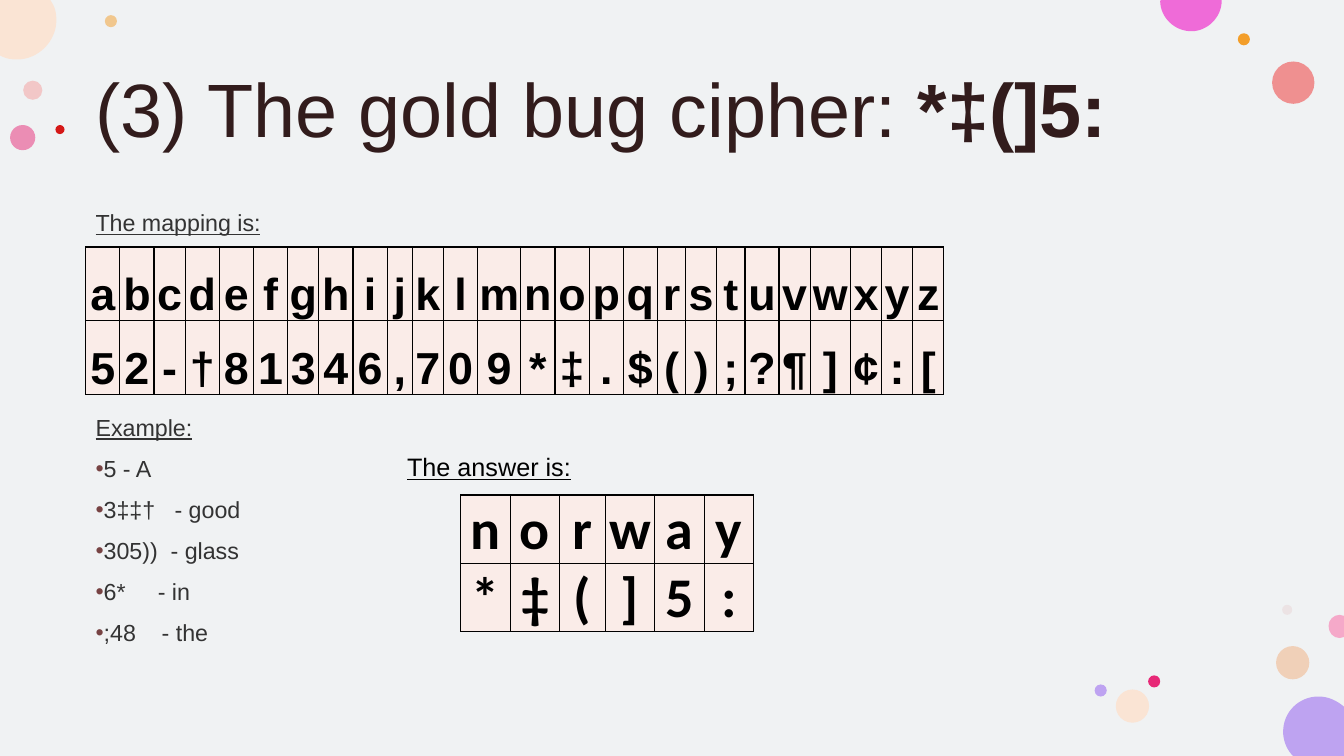
"""Builds the gold bug cipher slide with its mapping table and worked answer."""
import pptx
import pptx.dml.color
import pptx.enum.shapes
import pptx.enum.text
import pptx.oxml.ns
import pptx.util
from lxml import etree

Inches = pptx.util.Inches
Pt = pptx.util.Pt
RGBColor = pptx.dml.color.RGBColor
MSO_SHAPE = pptx.enum.shapes.MSO_SHAPE
qn = pptx.oxml.ns.qn

PAPER = RGBColor(0xF0, 0xF2, 0xF3)
BROWN = RGBColor(0x32, 0x1C, 0x1C)
GREY = RGBColor(0x33, 0x33, 0x33)
BLACK = RGBColor(0, 0, 0)
BLUSH = RGBColor(0xFA, 0xEC, 0xE8)
CORAL = RGBColor(0xF4, 0x9D, 0x9C)
ORANGE = RGBColor(0xF3, 0x9E, 0x29)
APRICOT = RGBColor(0xF1, 0xAF, 0x7F)
CERISE = RGBColor(0xE7, 0x29, 0x77)
SALMON = RGBColor(0xEF, 0x6B, 0x6B)
DUST = RGBColor(0xE3, 0xBE, 0xBE)
PEACH = RGBColor(0xFA, 0xE4, 0xD4)
LILAC = RGBColor(0xBE, 0xA3, 0xF1)
ORCHID = RGBColor(0xEF, 0x6B, 0xD8)
RED = RGBColor(0xD5, 0x18, 0x17)
ROSE = RGBColor(0xF5, 0xA9, 0xC9)

WIDTH, HEIGHT = 40 / 3, 7.5
LEFT, COLUMN = 0.85, 11.66


def add_text(left, top, width, height, lines):
    """Adds a wrapping text box with one paragraph per line."""
    box = page.shapes.add_textbox(Inches(left), Inches(top), Inches(width), Inches(height))
    box.text_frame.word_wrap = True
    box.text_frame.text = "\n".join(lines)
    return box.text_frame


def add_cipher_table(left, top, width, shares, row_height, rows, font, size):
    """Adds a bordered table holding one letter or symbol per cell."""
    frame = page.shapes.add_table(len(rows), len(shares), Inches(left), Inches(top),
                                  Inches(width), Inches(row_height * len(rows)))
    table = frame.table
    table.first_row = table.horz_banding = False
    for column, share in zip(table.columns, shares):
        column.width = Inches(width * share / sum(shares))
    for row, symbols in zip(table.rows, rows):
        row.height = Inches(row_height)
        for cell, symbol in zip(row.cells, symbols):
            cell.text = symbol
            cell.margin_left = cell.margin_right = cell.margin_top = Inches(0.01)
            cell.margin_bottom = 0
            cell.vertical_anchor = pptx.enum.text.MSO_ANCHOR.BOTTOM
            cell.fill.solid()
            cell.fill.fore_color.rgb = BLUSH
            para = cell.text_frame.paragraphs[0]
            para.alignment = pptx.enum.text.PP_ALIGN.CENTER
            span = para.runs[0]
            span.font.name, span.font.size, span.font.bold = font, Pt(size), True
            span.font.color.rgb = BLACK
            properties = cell._tc.get_or_add_tcPr()
            for position, side in enumerate(("a:lnL", "a:lnR", "a:lnT", "a:lnB")):
                border = etree.Element(qn(side), w=str(Pt(1)))
                paint = etree.SubElement(border, qn("a:solidFill"))
                etree.SubElement(paint, qn("a:srgbClr"), val=str(BLACK))
                properties.insert(position, border)


deck = pptx.Presentation()
deck.slide_width, deck.slide_height = Inches(WIDTH), Inches(HEIGHT)
page = deck.slides.add_slide(deck.slide_layouts[6])

backdrop = page.shapes.add_shape(MSO_SHAPE.RECTANGLE, 0, 0, deck.slide_width, deck.slide_height)
decorations = [(backdrop, PAPER, 100)]

bubbles = [
    (0.23, 0.8, 0.19, CORAL, 50), (1.04, 0.15, 0.12, ORANGE, 50),
    (12.66, 6.41, 0.33, APRICOT, 50), (0.1, 1.24, 0.25, CERISE, 50),
    (12.62, 0.61, 0.42, SALMON, 72), (12.28, 0.33, 0.12, ORANGE, 100),
    (12.72, 6, 0.1, DUST, 28), (11.39, 6.7, 0.12, CERISE, 100),
    (11.07, 6.84, 0.33, PEACH, 100), (10.86, 6.79, 0.12, LILAC, 100),
    (0.55, 1.24, 0.09, RED, 100),
]
for left, top, diameter, colour, opacity in bubbles:
    bubble = page.shapes.add_shape(MSO_SHAPE.OVAL, Inches(left), Inches(top),
                                   Inches(diameter), Inches(diameter))
    decorations.append((bubble, colour, opacity))

cut_bubbles = [
    (LILAC, (13.08, 6.91), [
        [(13.18, 6.91), (13.26, 6.95), (WIDTH, 7.01)], [(WIDTH, HEIGHT)], [(12.83, HEIGHT)],
        [(12.81, 7.48)], [(12.76, 7.42), (12.73, 7.34), (12.73, 7.26)],
        [(12.73, 7.06), (12.89, 6.91), (13.08, 6.91)]]),
    (PEACH, (0, 0), [
        [(0.5, 0)], [(0.53, 0.05)], [(0.55, 0.09), (0.56, 0.14), (0.56, 0.2)],
        [(0.56, 0.41), (0.38, 0.59), (0.17, 0.59)],
        [(0.11, 0.59), (0.06, 0.58), (0.02, 0.56)], [(0, 0.55)]]),
    (ORCHID, (11.52, 0), [
        [(12.12, 0)], [(12.12, 0.01)], [(12.12, 0.17), (11.98, 0.31), (11.82, 0.31)],
        [(11.65, 0.31), (11.51, 0.17), (11.51, 0.01)]]),
    (ROSE, (13.29, 6.1), [
        [(WIDTH, 6.11)], [(WIDTH, 6.32)], [(13.29, 6.33)],
        [(13.23, 6.33), (13.18, 6.28), (13.18, 6.21)],
        [(13.18, 6.15), (13.23, 6.1), (13.29, 6.1)]]),
]
for colour, start, steps in cut_bubbles:
    outline = page.shapes.build_freeform(Inches(start[0]), Inches(start[1]))
    outline.add_line_segments([(Inches(x), Inches(y)) for step in steps for x, y in step],
                              close=True)
    bubble = outline.convert_to_shape()
    segments = iter(list(bubble.element.spPr.iter(qn("a:lnTo"))))
    for step in steps:
        group = [next(segments) for point in step]
        if len(group) == 3:
            curve = etree.Element(qn("a:cubicBezTo"))
            group[0].addprevious(curve)
            for segment in group:
                curve.append(segment[0])
                segment.getparent().remove(segment)
    decorations.append((bubble, colour, 100))

for shape, colour, opacity in decorations:
    shape.shadow.inherit = False
    shape.line.fill.background()
    shape.fill.solid()
    shape.fill.fore_color.rgb = colour
    if opacity < 100:
        tint = shape.element.spPr.find(qn("a:solidFill")).find(qn("a:srgbClr"))
        etree.SubElement(tint, qn("a:alpha"), val=str(opacity * 1000))

title = add_text(LEFT, 0.4, COLUMN, 1.45, ["(3) The gold bug cipher: "])
title.vertical_anchor = pptx.enum.text.MSO_ANCHOR.MIDDLE
title.paragraphs[0].line_spacing = 0.9
secret = title.paragraphs[0].add_run()
secret.text = "*‡(]5:"
secret.font.bold = True
for span in title.paragraphs[0].runs:
    span.font.name, span.font.size = "Arial", Pt(54)
    span.font.color.rgb = BROWN

headings = ("The mapping is:", "Example:")
examples = ["5 - A", "3‡‡†   - good", "305))  - glass", "6*     - in", ";48    - the"]
body = add_text(LEFT, 2, COLUMN, 4.76, [*headings, *examples])
for para in body.paragraphs:
    para.line_spacing, para.space_after = 1.07, Pt(8)
    span = para.runs[0]
    span.font.name, span.font.size = "Arial", Pt(16.6)
    span.font.color.rgb = GREY
    span.font.underline = para.text in headings
    if para.text in examples:
        properties = para._p.get_or_add_pPr()
        properties.set("marL", str(Inches(0.07)))
        properties.set("indent", str(-Inches(0.07)))
        bullet_colour = etree.SubElement(properties, qn("a:buClr"))
        etree.SubElement(bullet_colour, qn("a:srgbClr"), val="774343")
        etree.SubElement(properties, qn("a:buFont"), typeface="Arial")
        etree.SubElement(properties, qn("a:buChar"), char="•")
body.paragraphs[1].space_before = Pt(117)

alphabet = "abcdefghijklmnopqrstuvwxyz"
special_shares = {**dict.fromkeys("cgksvxyz", 0.31), **dict.fromkeys("rt", 0.28),
                  "j": 0.25, "m": 0.43, "w": 0.4}
add_cipher_table(LEFT, 2.45, 8.52, [special_shares.get(letter, 0.34) for letter in alphabet],
                 0.73, [alphabet, "52-†81346,709*‡.$();?¶]¢:["], "Arial", 32)

answer = add_text(3.94, 4.43, 7.08, 0.4, ["The answer is:"])
span = answer.paragraphs[0].runs[0]
span.font.name, span.font.size, span.font.underline = "Arial", Pt(18), True
span.font.color.rgb = BLACK
add_cipher_table(4.57, 4.91, 2.91, [0.49, 0.49, 0.45, 0.49, 0.49, 0.49], 0.67,
                 ["norway", "*‡(]5:"], "Calibri", 40)

deck.save("out.pptx")
